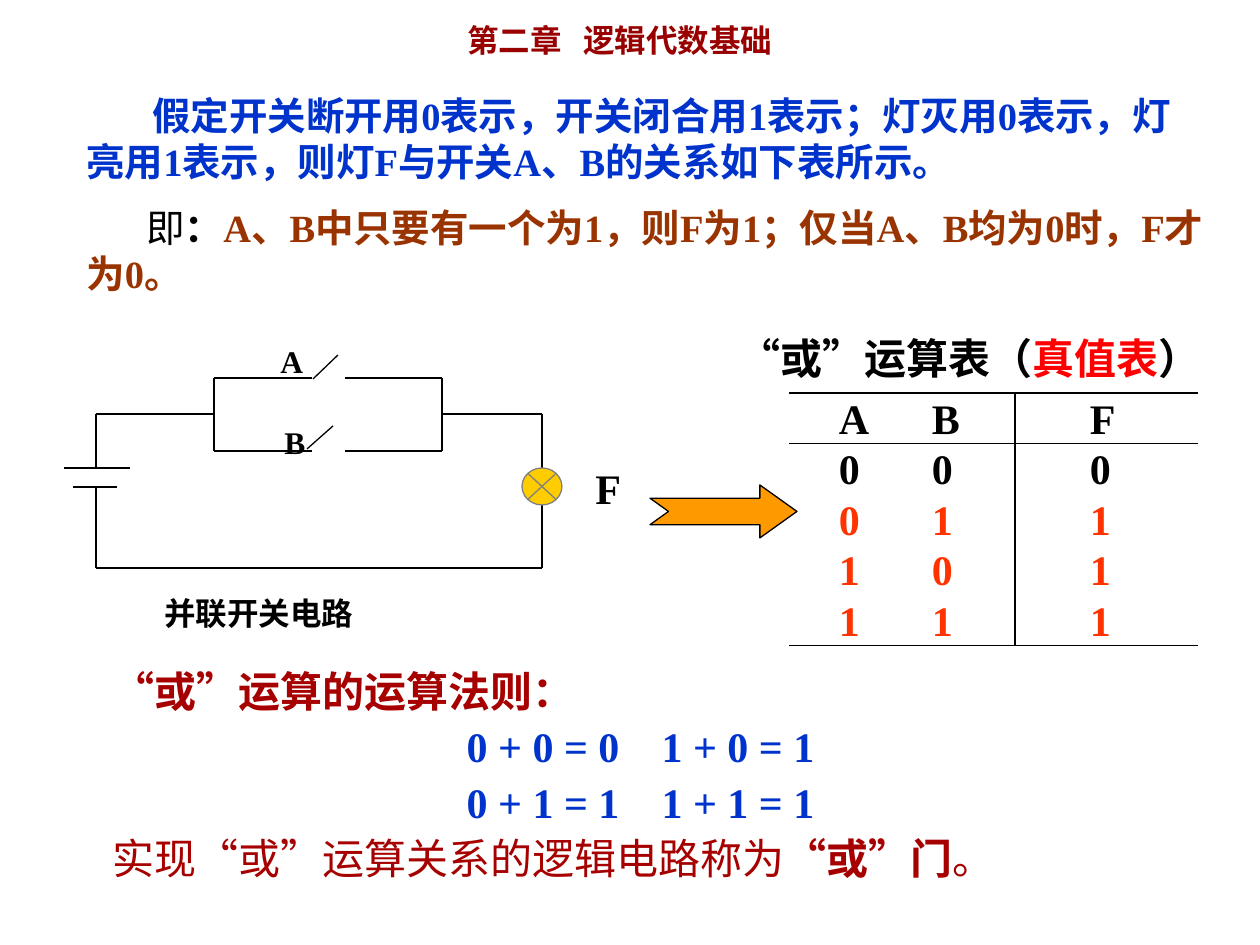
from lxml import etree
from pptx import Presentation
from pptx.dml.color import RGBColor
from pptx.enum.shapes import MSO_CONNECTOR, MSO_SHAPE
from pptx.enum.text import MSO_ANCHOR, PP_ALIGN
from pptx.oxml.ns import qn
from pptx.util import Pt

SCALE = 914400 // 126
LINE = MSO_CONNECTOR.STRAIGHT
ARROW = MSO_SHAPE.NOTCHED_RIGHT_ARROW
LAMP = MSO_SHAPE.FLOWCHART_SUMMING_JUNCTION
LEFT, CENTER = PP_ALIGN.LEFT, PP_ALIGN.CENTER
BOTTOM = MSO_ANCHOR.BOTTOM
TIMES, SANS, HEAD = "Times New Roman", "Noto Sans CJK SC", "Noto Sans CJK JP"
COLORS = {
    "black": "000000", "blue": "0033CC", "brown": "993300", "maroon": "990000",
    "wine": "A60000", "red": "FF0000", "flame": "FF3300", "gold": "FFCC00",
    "orange": "FF9900", "gray": "808080",
}


def px(n):
    return n * SCALE


def rgb(name):
    return RGBColor.from_string(COLORS[name])


def add_run(para, size, text, color="black", bold=True, face=TIMES):
    run = para.add_run()
    run.text = text
    font = run.font
    font.size, font.bold, font.name = Pt(size), bold, face
    font.color.rgb = rgb(color)
    east = HEAD if face == HEAD else SANS
    etree.SubElement(font._element, qn("a:ea")).set("typeface", east)


def add_text(slide, box, size, paras, gap=0, wrap=True):
    frame = slide.shapes.add_textbox(*map(px, box)).text_frame
    frame.word_wrap = wrap
    for i, (align, indent, runs) in enumerate(paras):
        para = frame.add_paragraph() if i else frame.paragraphs[0]
        para.alignment = align
        para.line_spacing = Pt(size * 1.2)
        if i:
            para.space_before = Pt(gap)
        if indent:
            para._p.get_or_add_pPr().set("indent", str(px(indent)))
        for run in runs:
            add_run(para, size, *run)
    return frame


def add_label(slide, box, size, *runs, wrap=True):
    return add_text(slide, box, size, [(LEFT, 0, runs)], wrap=wrap)


def add_tab(para, at):
    tabs = etree.SubElement(para._p.get_or_add_pPr(), qn("a:tabLst"))
    etree.SubElement(tabs, qn("a:tab"), pos=str(px(at)), algn="l")


def add_wire(slide, *ends):
    wire = slide.shapes.add_connector(LINE, *map(px, ends))
    wire.line.color.rgb = rgb("black")
    wire.line.width = Pt(0.75)
    etree.SubElement(wire._element.spPr, qn("a:effectLst"))


def add_shape(slide, kind, box, fill, edge):
    shape = slide.shapes.add_shape(kind, *map(px, box))
    shape.shadow.inherit = False
    shape.fill.solid()
    shape.fill.fore_color.rgb = rgb(fill)
    shape.line.color.rgb = rgb(edge)
    shape.line.width = Pt(0.75)
    return shape


def set_edges(cell, shown):
    props = cell._tc.get_or_add_tcPr()
    for i, side in enumerate("LRTB"):
        edge = etree.Element(qn("a:ln" + side), w=str(Pt(0.75)))
        if side in shown:
            fill = etree.SubElement(edge, qn("a:solidFill"))
            etree.SubElement(fill, qn("a:srgbClr"), val=COLORS["black"])
        else:
            etree.SubElement(edge, qn("a:noFill"))
        props.insert(i, edge)


def add_truth(slide, rows):
    widths, heights = (93, 133, 183), (49, 50, 50, 50, 50)
    box = (789, 393, sum(widths), sum(heights))
    table = slide.shapes.add_table(len(rows), 3, *map(px, box)).table
    table.first_row = table.horz_banding = False
    for col, width in zip(table.columns, widths):
        col.width = px(width)
    for r, row in enumerate(rows):
        table.rows[r].height = px(heights[r])
        for c, value in enumerate(row):
            cell = table.cell(r, c)
            cell.margin_top = cell.margin_bottom = cell.margin_right = 0
            cell.margin_left = px(75 if c == 2 else 50)
            cell.vertical_anchor = BOTTOM
            cell.fill.background()
            tops = "TB" if r == 0 else "T" if r == 1 else ""
            ends = "B" if r == len(rows) - 1 else ""
            set_edges(cell, tops + ends + ("", "R", "L")[c])
            color = "flame" if r > 1 else "black"
            add_run(cell.text_frame.paragraphs[0], 24, value, color)


def add_circuit(slide):
    left, right, lamp, cell = 214, 442, 542, 96
    high, low, mid, base = 378, 451, 414, 568
    for y in (high, low):
        add_wire(slide, left, y, 312, y)
        add_wire(slide, 345, y, right, y)
    for x in (left, right):
        add_wire(slide, x, high, x, low)
    for ends in (
        (313, 379, 338, 355), (307, 449, 333, 426),
        (cell, mid, left, mid), (right, mid, lamp, mid),
        (cell, mid, cell, 468), (64, 468, 130, 468),
        (73, 487, 117, 487), (cell, 488, cell, base),
        (lamp, mid, lamp, 468), (lamp, 505, lamp, base),
        (cell, base, lamp, base),
    ):
        add_wire(slide, *ends)
    add_shape(slide, LAMP, (522, 468, 40, 37), "gold", "gray")
    for text, box, size in (
        ("A", (268, 336, 48, 50), 18),
        ("B", (272, 417, 47, 50), 18),
        ("F", (583, 456, 50, 63), 24),
    ):
        add_label(slide, box, size, (text,), wrap=False)
    add_label(slide, (152, 588, 380, 50), 18,
              ("并联开关电路", "black", True, SANS))


def main():
    deck = Presentation()
    deck.slide_width, deck.slide_height = px(1260), px(945)
    slide = deck.slides.add_slide(deck.slide_layouts[6])

    title = add_label(slide, (455, 15, 408, 50), 18,
                      ("第二章\t逻辑代数基础", "maroon", True, HEAD))
    add_tab(title.paragraphs[0], 116)

    add_text(slide, (74, 86, 1144, 220), 22, [
        (LEFT, 66, [("假定开关断开用0表示，开关闭合用1表示；灯灭用0表示，"
                     "灯亮用1表示，则灯F与开关A、B的关系如下表所示。", "blue")]),
        (LEFT, 60, [("即", "black", False), ("：",),
                    ("A、B中只要有一个为1，则F为1；"
                     "仅当A、B均为0时，F才为0。", "brown")]),
    ], gap=11)

    add_circuit(slide)
    arrow = add_shape(slide, ARROW, (650, 485, 147, 53), "orange", "black")
    arrow.adjustments[0], arrow.adjustments[1] = 0.5, 0.7

    add_label(slide, (726, 326, 508, 63), 24,
              ("“或”运算表（", "black", True, SANS),
              ("真值表", "red", True, SANS),
              ("）", "black", True, SANS))
    add_truth(slide, ("ABF", "000", "011", "101", "111"))

    add_text(slide, (100, 659, 1081, 229), 24, [
        (LEFT, 0, [("“或”运算的运算法则：", "wine", True, SANS)]),
        (CENTER, 0, [("0 + 0 = 0　1 + 0 = 1", "blue")]),
        (CENTER, 0, [("0 + 1 = 1　1 + 1 = 1", "blue")]),
        (LEFT, 0, [("实现“或”运算关系的逻辑电路称为", "wine", False, SANS),
                   ("“或”门", "wine", True, SANS),
                   ("。", "wine", False, SANS)]),
    ], gap=3)
    deck.save("out.pptx")


if __name__ == "__main__":
    main()
